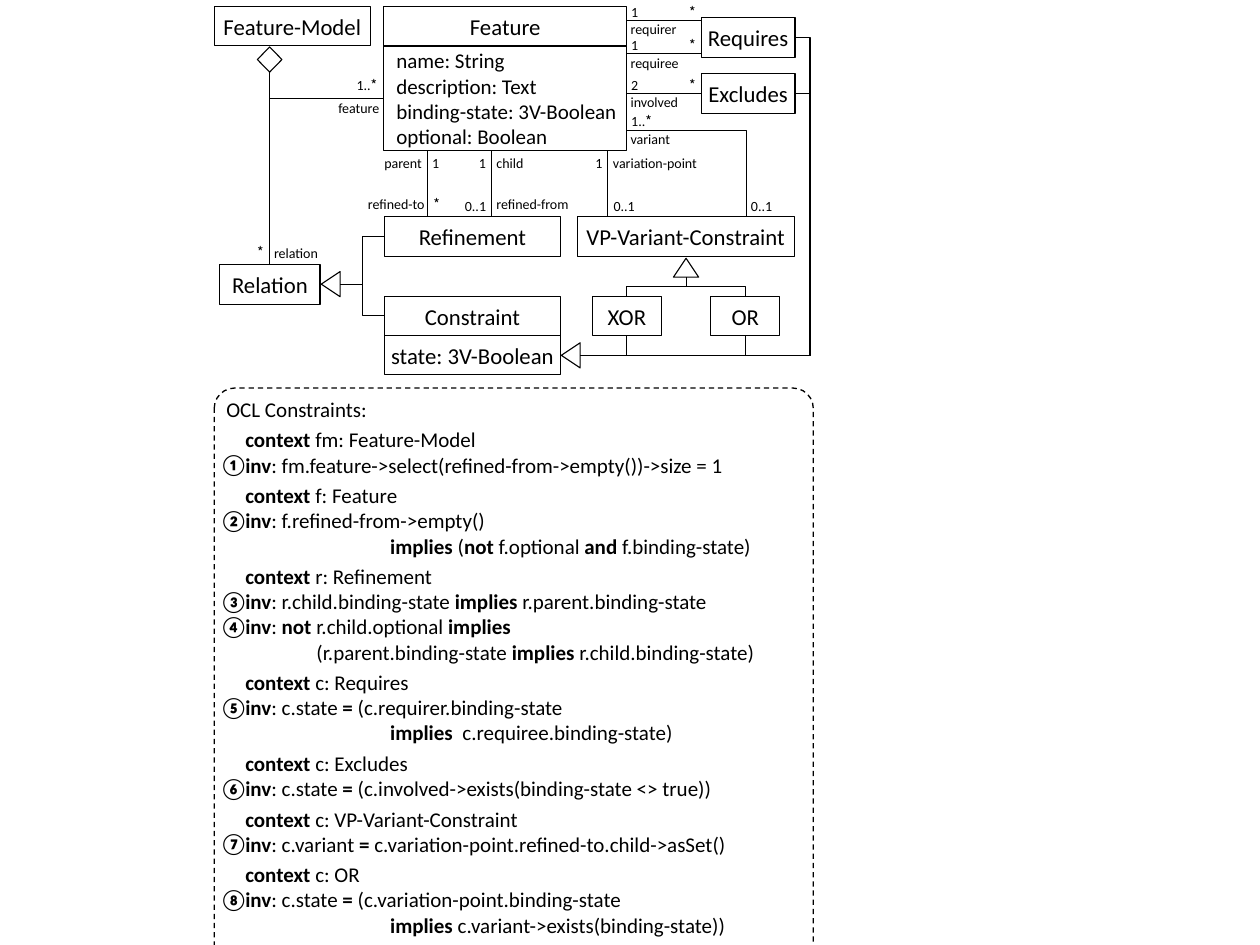
from dataclasses import dataclass

from lxml import etree
from pptx import Presentation, util as u
from pptx.dml.color import RGBColor
from pptx.enum import dml, shapes, text
from pptx.oxml.ns import qn

KIND = shapes.MSO_SHAPE
LEFT, MID = text.PP_ALIGN.LEFT, text.PP_ALIGN.CENTER


@dataclass
class Theme:
    ink: RGBColor = RGBColor(0, 0, 0)
    font: str = "Calibri"
    star: str = "Noto Sans CJK SC"
    name: int = 26
    body: int = 24
    label: int = 16
    thin: float = 1.25
    dash: float = 1.5


def inch(value):
    return u.Cm(value * 2.54)


class Diagram:
    """Draws the elements of a class diagram on one slide, measured in inches."""

    def __init__(self, slide, theme):
        self.slide = slide
        self.theme = theme

    def style(self, font, size, bold=None):
        font.name, font.size, font.bold = self.theme.font, u.Pt(size), bold
        font.color.rgb = self.theme.ink

    def frame(self, shape, pad, anchor, wrap=False):
        frame = shape.text_frame
        frame.margin_left = frame.margin_right = inch(pad[0])
        frame.margin_top = frame.margin_bottom = inch(pad[1])
        frame.vertical_anchor, frame.word_wrap = anchor, wrap
        return frame

    def shape(self, kind, x, y, w, h, turn=0):
        shape = self.slide.shapes.add_shape(kind, *map(inch, (x, y, w, h)))
        shape.rotation = turn
        shape.shadow.inherit = False
        shape.fill.background()
        shape.line.color.rgb = self.theme.ink
        shape.line.width = u.Pt(self.theme.thin)
        return shape

    def box(self, x, y, w, h, lines, size, align=MID, pad=(0, 0)):
        shape = self.shape(KIND.RECTANGLE, x, y, w, h)
        frame = self.frame(shape, pad, text.MSO_ANCHOR.MIDDLE)
        frame.text = lines
        for para in frame.paragraphs:
            para.alignment = align
            self.style(para.font, size)

    def note(self, x, y, w, h, pad):
        shape = self.slide.shapes.add_textbox(*map(inch, (x, y, w, h)))
        frame = self.frame(shape, pad, text.MSO_ANCHOR.TOP)
        frame.auto_size = text.MSO_AUTO_SIZE.SHAPE_TO_FIT_TEXT
        return frame.paragraphs[0]

    def label(self, x, y, w, words):
        para = self.note(x, y, w, 0.27, (0, 0))
        self.style(para.font, self.theme.label)
        plain, star, _ = words.partition("*")
        if plain:
            para.add_run().text = plain
        if star:
            run = para.add_run()
            run.text, run.font.name = star, self.theme.star

    def marker(self, x, y, sign):
        para = self.note(x, y, 0.54, 0.5, (0.1, 0.05))
        para.text = sign
        self.style(para.font, self.theme.body, True)

    def link(self, x1, y1, x2, y2, bend=None, adj=None):
        kind = shapes.MSO_CONNECTOR.ELBOW if bend else shapes.MSO_CONNECTOR.STRAIGHT
        line = self.slide.shapes.add_connector(kind, *map(inch, (x1, y1, x2, y2)))
        line.line.color.rgb = self.theme.ink
        line.line.width = u.Pt(self.theme.thin)
        props = line._element.spPr
        if bend:
            geom = props.find(qn("a:prstGeom"))
            geom.set("prst", f"bentConnector{bend}")
        if adj:
            guide = etree.SubElement(geom.find(qn("a:avLst")), qn("a:gd"))
            guide.set("name", "adj1")
            guide.set("fmla", f"val {round(adj * 100000)}")
        etree.SubElement(props, qn("a:effectLst"))

    def rules(self, x, y, w, h, lines):
        shape = self.shape(KIND.ROUNDED_RECTANGLE, x, y, w, h)
        shape.adjustments[0] = 0.034
        shape.line.width = u.Pt(self.theme.dash)
        shape.line.dash_style = dml.MSO_LINE.DASH
        frame = self.frame(shape, (0.1, 0.04), text.MSO_ANCHOR.TOP, True)
        for i, (indent, words) in enumerate(lines):
            para = frame.add_paragraph() if i else frame.paragraphs[0]
            para.alignment = LEFT
            self.style(para.font, self.theme.body)
            para._p.get_or_add_pPr().set("marL", str(int(inch(indent))))
            if words.startswith("|context"):
                para.space_before = u.Pt(6)
            for n, piece in enumerate(words.split("|")):
                if piece:
                    run = para.add_run()
                    run.text, run.font.bold = piece, n % 2 == 1


NAMES = [
    (6.09, 0.1, 3.86, "Feature"), (3.4, 0.1, 2.48, "Feature-Model"),
    (3.49, 4.2, 1.59, "Relation"), (6.1, 3.44, 2.8, "Refinement"),
    (11.13, 0.28, 1.49, "Requires"), (11.13, 1.17, 1.49, "Excludes"),
    (9.4, 4.7, 1.1, "XOR"), (11.28, 4.7, 1.1, "OR"),
    (9.16, 3.44, 3.45, "VP-Variant-Constraint"),
    (6.1, 4.7, 2.8, "Constraint"), (6.1, 5.32, 2.8, "state: 3V-Boolean"),
]
FIELDS = "name: String\ndescription: Text\nbinding-state: 3V-Boolean\noptional: Boolean"
HEADS = [
    (KIND.DIAMOND, 4.08, 0.75, 0.4, 0.39, 270),
    (KIND.ISOSCELES_TRIANGLE, 5.05, 4.36, 0.4, 0.3, 270),
    (KIND.ISOSCELES_TRIANGLE, 8.86, 5.49, 0.4, 0.3, 270),
    (KIND.ISOSCELES_TRIANGLE, 10.69, 4.1, 0.4, 0.3, 0),
]
LINKS = [
    (6.09, 1.56, 4.28, 1.15, 2), (4.28, 1.15, 4.28, 4.2),
    (5.4, 4.51, 6.1, 3.75, 3), (5.4, 4.51, 6.1, 5.01, 3),
    (6.79, 2.39, 6.79, 3.44), (7.8, 2.39, 7.8, 3.44), (9.65, 2.39, 9.65, 3.44),
    (9.95, 0.33, 11.13, 0.33), (9.95, 0.85, 11.13, 0.85), (9.95, 1.48, 11.13, 1.48),
    (9.21, 5.64, 12.61, 0.59, 3, 1.073), (9.21, 5.64, 12.61, 1.48, 3, 1.073),
    (9.21, 5.64, 9.95, 5.33, 2), (9.21, 5.64, 11.83, 5.33, 2),
    (10.89, 4.4, 10.89, 4.55),
    (10.89, 4.55, 9.95, 4.7, 2), (10.89, 4.55, 11.83, 4.7, 2),
    (9.95, 2.07, 11.85, 3.44, 2),
]
LABELS = [
    (6.1, 2.45, 0.62, "parent"), (6.86, 2.45, 0.14, "1"),
    (7.6, 2.45, 0.14, "1"), (7.88, 2.45, 0.44, "child"),
    (9.45, 2.45, 0.14, "1"), (9.73, 2.45, 1.37, "variation-point"),
    (5.84, 3.11, 0.91, "refined-to"), (6.88, 3.1, 0.11, "*"),
    (7.38, 3.13, 0.34, "0..1"), (7.88, 3.11, 1.16, "refined-from"),
    (9.74, 3.13, 0.34, "0..1"), (11.92, 3.13, 0.34, "0..1"),
    (10.02, 0.05, 0.14, "1"), (10.94, 0.05, 0.11, "*"), (10.01, 0.32, 0.74, "requirer"),
    (10.02, 0.58, 0.14, "1"), (10.94, 0.58, 0.11, "*"), (10.01, 0.86, 0.78, "requiree"),
    (10.02, 1.21, 0.14, "2"), (10.94, 1.21, 0.11, "*"), (10.01, 1.48, 0.77, "involved"),
    (10.02, 1.79, 0.34, "1..*"), (10.01, 2.08, 0.64, "variant"),
    (5.66, 1.22, 0.34, "1..*"), (5.37, 1.58, 0.66, "feature"),
    (4.08, 3.87, 0.11, "*"), (4.35, 3.88, 0.71, "relation"),
]
RULES = [
    (0, "OCL Constraints:"),
    (0.3, "|context| fm: Feature-Model"),
    (0.3, "|inv|: fm.feature->select(refined-from->empty())->size = 1"),
    (0.3, "|context| f: Feature"),
    (0.3, "|inv|: f.refined-from->empty()"),
    (2.6, "|implies| (|not |f.optional |and |f.binding-state)"),
    (0.3, "|context| r: Refinement"),
    (0.3, "|inv|: r.child.binding-state |implies |r.parent.binding-state"),
    (0.3, "|inv|: |not |r.child.optional |implies|"),
    (1.43, "(r.parent.binding-state |implies |r.child.binding-state)"),
    (0.3, "|context| c: Requires"),
    (0.3, "|inv|: c.state |=| (c.requirer.binding-state"),
    (2.6, "|implies  |c.requiree.binding-state)"),
    (0.3, "|context| c: Excludes"),
    (0.3, "|inv|: c.state |=| (c.involved->exists(binding-state <> true))"),
    (0.3, "|context| c: VP-Variant-Constraint"),
    (0.3, "|inv|: c.variant |= |c.variation-point.refined-to.child->asSet()"),
    (0.3, "|context| c: OR"),
    (0.3, "|inv|: c.state |=| (c.variation-point.binding-state"),
    (2.6, "|implies |c.variant->exists(binding-state))"),
]
MARKS = zip("①②③④⑤⑥⑦⑧", (7.12, 8.01, 9.29, 9.69, 10.97, 12.26, 13.14, 14.02))


def main():
    deck = Presentation()
    deck.slide_width, deck.slide_height = inch(20), inch(15)
    theme = Theme()
    draw = Diagram(deck.slides.add_slide(deck.slide_layouts[6]), theme)
    for x, y, w, name in NAMES:
        draw.box(x, y, w, 0.63, name, theme.name)
    draw.box(6.09, 0.73, 3.86, 1.66, FIELDS, theme.body, LEFT, (0.2, 0.15))
    for head in HEADS:
        draw.shape(*head)
    for link in LINKS:
        draw.link(*link)
    for label in LABELS:
        draw.label(*label)
    draw.rules(3.4, 6.16, 9.51, 10.16, RULES)
    for sign, y in MARKS:
        draw.marker(3.39, y, sign)
    deck.save("out.pptx")


if __name__ == "__main__":
    main()
